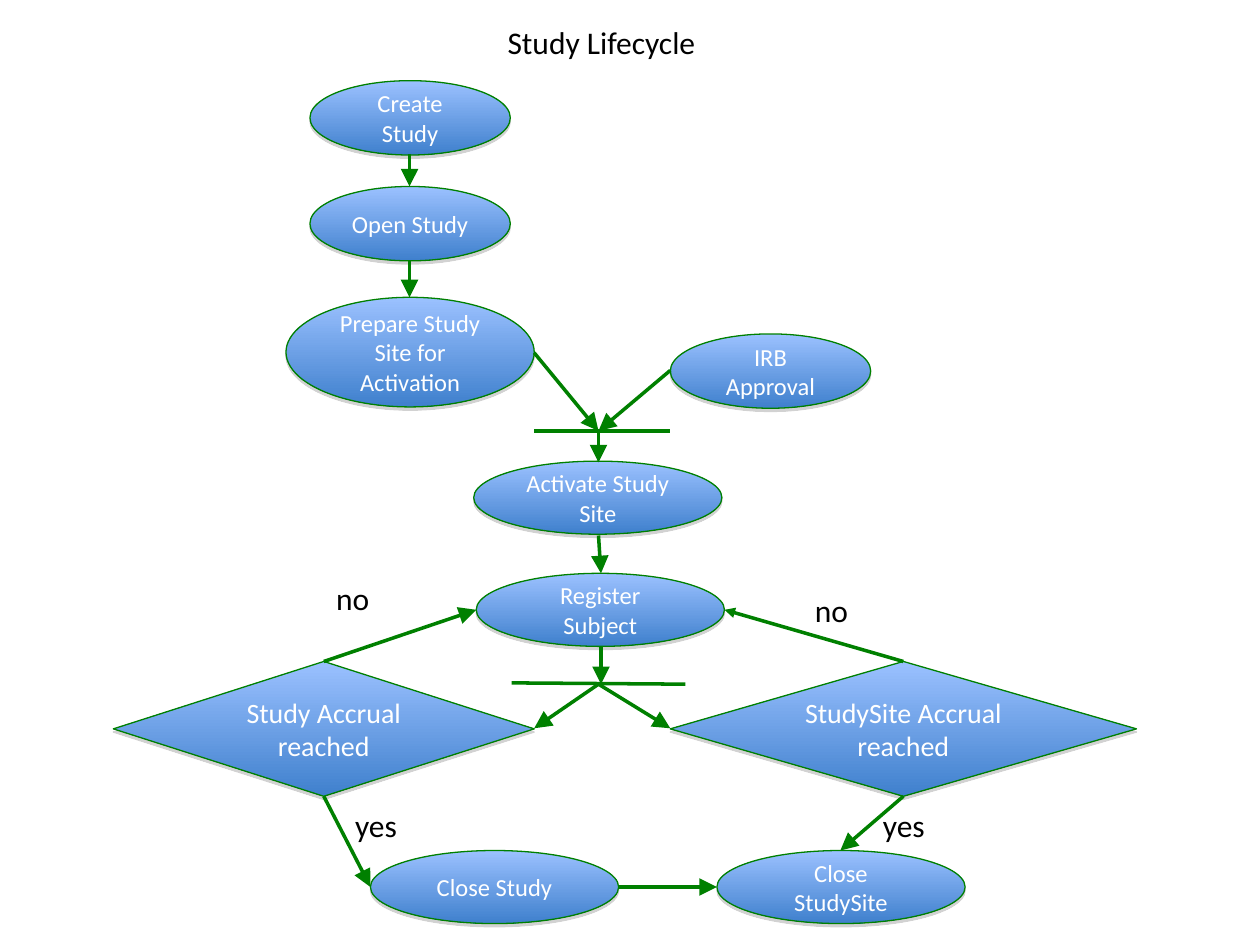
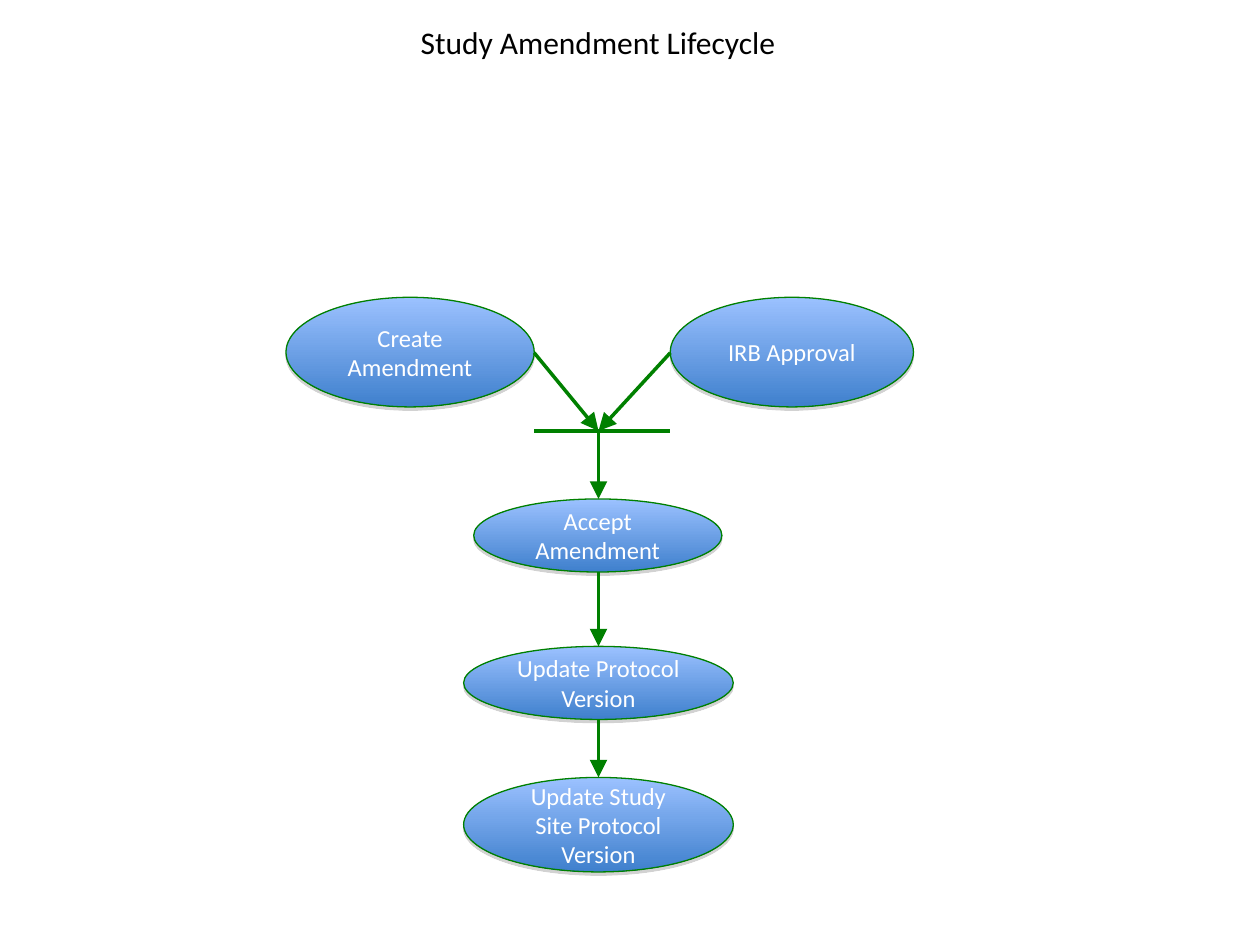
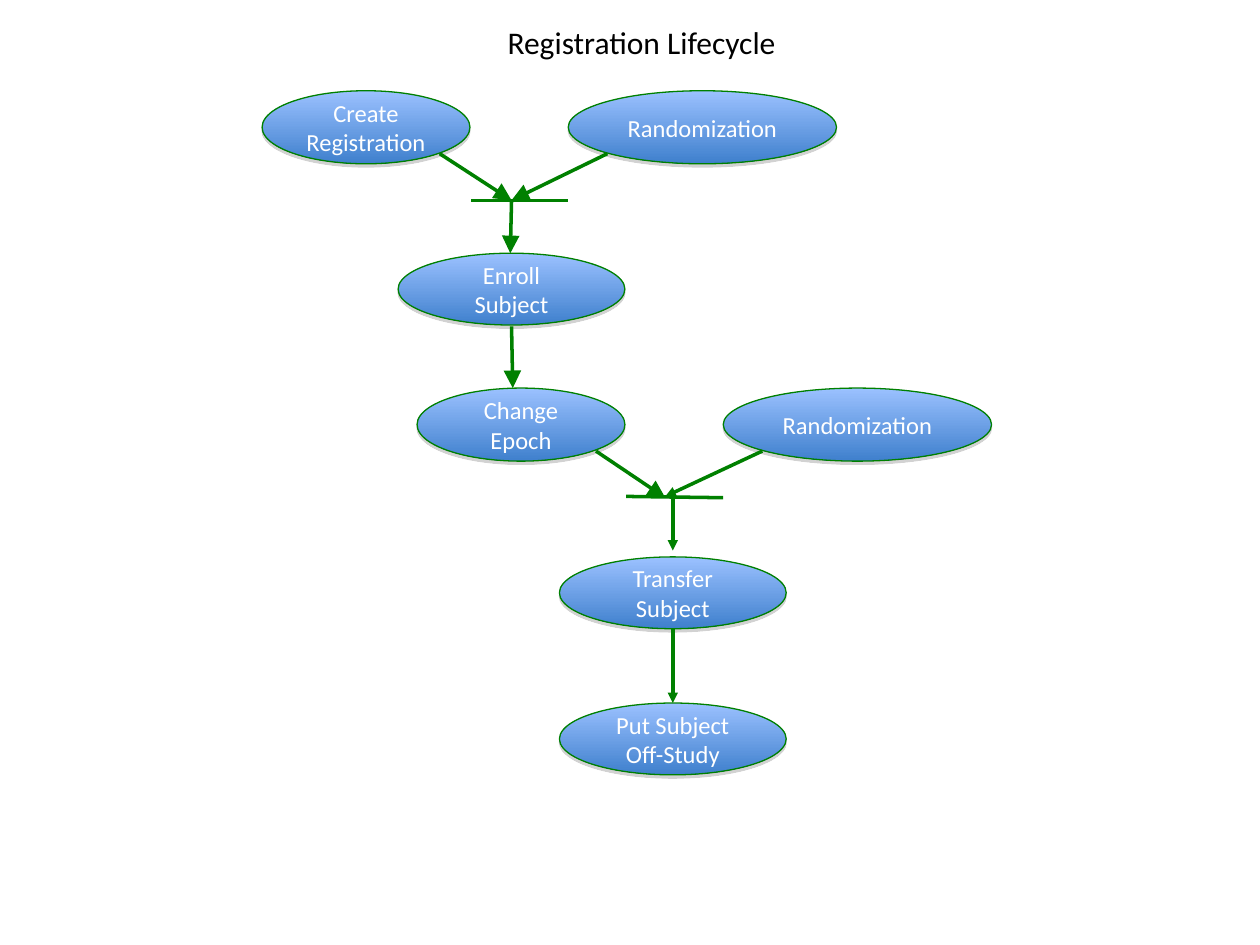
import pptx
import pptx.util
import pptx.dml.color
import pptx.enum.shapes
import pptx.enum.text
import pptx.oxml
import pptx.oxml.ns

Inches = pptx.util.Inches
Pt = pptx.util.Pt
RGBColor = pptx.dml.color.RGBColor
Kind = pptx.enum.shapes.MSO_SHAPE
qn = pptx.oxml.ns.qn

GREEN = RGBColor(0x00, 0x80, 0x00)
LIGHT = RGBColor(0x9B, 0xC1, 0xFF)
DARK = RGBColor(0x3F, 0x80, 0xCD)
WHITE = RGBColor(0xFF, 0xFF, 0xFF)
BLACK = RGBColor(0x00, 0x00, 0x00)
FONT = "Calibri"

SHADOW = (
    f'<a:outerShdw {pptx.oxml.ns.nsdecls("a")} dist="{Pt(1.8)}" dir="5400000" rotWithShape="0">'
    '<a:srgbClr val="808080"><a:alpha val="35000"/></a:srgbClr></a:outerShdw>'
)

# Each slide: steps and tests (text, left, top, width, height),
# bars and flows (x1, y1, x2, y2), labels (text, left, top, width).
# Flows have a large arrowhead, "thin" flows a medium one.
SLIDES = [
    {
        "title": ("Study Lifecycle", 3.93, 1.7),
        "steps": [
            ("Create Study", 2.46, 0.64, 1.59, 0.59),
            ("Open Study", 2.46, 1.48, 1.59, 0.59),
            ("Prepare Study Site for Activation", 2.27, 2.36, 1.97, 0.87),
            ("IRB Approval", 5.32, 2.65, 1.59, 0.59),
            ("Activate Study Site", 3.76, 3.66, 1.97, 0.58),
            ("Register Subject", 3.78, 4.55, 1.97, 0.58),
            ("Close StudySite", 5.69, 6.75, 1.97, 0.58),
            ("Close Study", 2.94, 6.75, 1.97, 0.58),
        ],
        "tests": [
            ("Study Accrual reached", 0.9, 5.25, 3.34, 1.07),
            ("StudySite Accrual reached", 5.32, 5.25, 3.7, 1.07),
        ],
        "bars": [(4.24, 3.42, 5.32, 3.42), (4.06, 5.42, 5.44, 5.43)],
        "flows": [
            (3.25, 1.22, 3.25, 1.48),
            (3.25, 2.07, 3.25, 2.36),
            (4.24, 2.8, 4.75, 3.42),
            (5.32, 2.94, 4.75, 3.42),
            (4.75, 3.42, 4.75, 3.67),
            (4.75, 4.25, 4.77, 4.55),
            (4.77, 5.13, 4.77, 5.43),
            (4.75, 5.43, 4.24, 5.78),
            (4.75, 5.43, 5.32, 5.78),
            (2.57, 6.32, 2.94, 7.04),
            (7.17, 6.32, 6.67, 6.75),
            (4.91, 7.04, 5.69, 7.04),
            (2.57, 5.25, 3.78, 4.84),
        ],
        "thin": [(7.17, 5.25, 5.75, 4.84)],
        "labels": [
            ("no", 2.57, 4.55, 0.46),
            ("no", 6.37, 4.64, 0.46),
            ("yes", 2.72, 6.35, 0.53),
            ("yes", 6.91, 6.35, 0.53),
        ],
    },
    {
        "title": ("Study Amendment Lifecycle", 3.24, 3.03),
        "steps": [
            ("Create Amendment", 2.27, 2.36, 1.97, 0.87),
            ("IRB Approval", 5.32, 2.36, 1.93, 0.87),
            ("Accept Amendment", 3.76, 3.96, 1.97, 0.58),
            ("Update Protocol Version", 3.68, 5.13, 2.14, 0.58),
            ("Update Study Site Protocol Version", 3.68, 6.17, 2.14, 0.75),
        ],
        "bars": [(4.24, 3.42, 5.32, 3.42)],
        "flows": [
            (4.24, 2.8, 4.75, 3.42),
            (5.32, 2.8, 4.75, 3.42),
            (4.75, 3.42, 4.75, 3.96),
            (4.75, 4.54, 4.75, 5.13),
            (4.75, 5.71, 4.75, 6.17),
        ],
    },
    {
        "title": ("Registration Lifecycle", 3.93, 2.35),
        "steps": [
            ("Create Registration", 2.08, 0.72, 1.65, 0.58),
            ("Randomization", 4.51, 0.72, 2.13, 0.58),
            ("Enroll Subject", 3.16, 2.01, 1.8, 0.57),
            ("Change Epoch", 3.31, 3.08, 1.65, 0.58),
            ("Randomization", 5.74, 3.08, 2.13, 0.58),
            ("Transfer Subject", 4.44, 4.42, 1.8, 0.57),
            ("Put Subject Off-Study", 4.44, 5.58, 1.8, 0.57),
        ],
        "bars": [(3.74, 1.59, 4.51, 1.59), (4.97, 3.94, 5.74, 3.95)],
        "flows": [
            (3.49, 1.22, 4.06, 1.59),
            (4.82, 1.22, 4.06, 1.59),
            (4.06, 1.59, 4.05, 2.01),
            (4.06, 2.59, 4.07, 3.08),
            (4.73, 3.58, 5.28, 3.95),
        ],
        "thin": [
            (6.05, 3.58, 5.28, 3.94),
            (5.34, 3.95, 5.34, 4.37),
            (5.34, 4.99, 5.34, 5.58),
        ],
    },
]


def write(shape, text, size, color):
    run = shape.text_frame.paragraphs[0].add_run()
    run.text = text
    run.font.name = FONT
    run.font.size = Pt(size)
    run.font.color.rgb = color


deck = pptx.Presentation()
deck.slide_width = Inches(10)
deck.slide_height = Inches(7.5)

for plan in SLIDES:
    slide = deck.slides.add_slide(deck.slide_layouts[6])

    for group, kind, size in (("steps", Kind.FLOWCHART_CONNECTOR, 14), ("tests", Kind.DIAMOND, 16)):
        for text, *place in plan.get(group, []):
            node = slide.shapes.add_shape(kind, *map(Inches, place))
            node.fill.gradient()
            node.fill.gradient_angle = 270
            for stop, color in zip(node.fill.gradient_stops, (LIGHT, DARK)):
                stop.color.rgb = color
            node.line.color.rgb = GREEN
            node.line.width = Pt(0.75)
            node.shadow.inherit = False
            effects = node.element.spPr.find(qn("a:effectLst"))
            effects.append(pptx.oxml.parse_xml(SHADOW))
            frame = node.text_frame
            frame.word_wrap = True
            frame.vertical_anchor = pptx.enum.text.MSO_ANCHOR.MIDDLE
            frame.paragraphs[0].alignment = pptx.enum.text.PP_ALIGN.CENTER
            write(node, text, size, WHITE)

    for group, head in (("bars", None), ("flows", "lg"), ("thin", "med")):
        for ends in plan.get(group, []):
            link = slide.shapes.add_connector(
                pptx.enum.shapes.MSO_CONNECTOR.STRAIGHT, *map(Inches, ends))
            link.line.color.rgb = GREEN
            link.line.width = Pt(2)
            props = link.element.spPr
            if head:
                tip = props.find(qn("a:ln")).makeelement(
                    qn("a:tailEnd"), {"type": "triangle", "w": head, "len": head})
                props.find(qn("a:ln")).append(tip)
            props.append(props.makeelement(qn("a:effectLst"), {}))

    title, left, width = plan["title"]
    for text, x, y, w in [(title, left, 0.13, width)] + plan.get("labels", []):
        box = slide.shapes.add_textbox(Inches(x), Inches(y), Inches(w), Inches(0.4))
        box.text_frame.word_wrap = False
        box.text_frame.auto_size = pptx.enum.text.MSO_AUTO_SIZE.SHAPE_TO_FIT_TEXT
        write(box, text, 18, BLACK)

deck.save("out.pptx")
